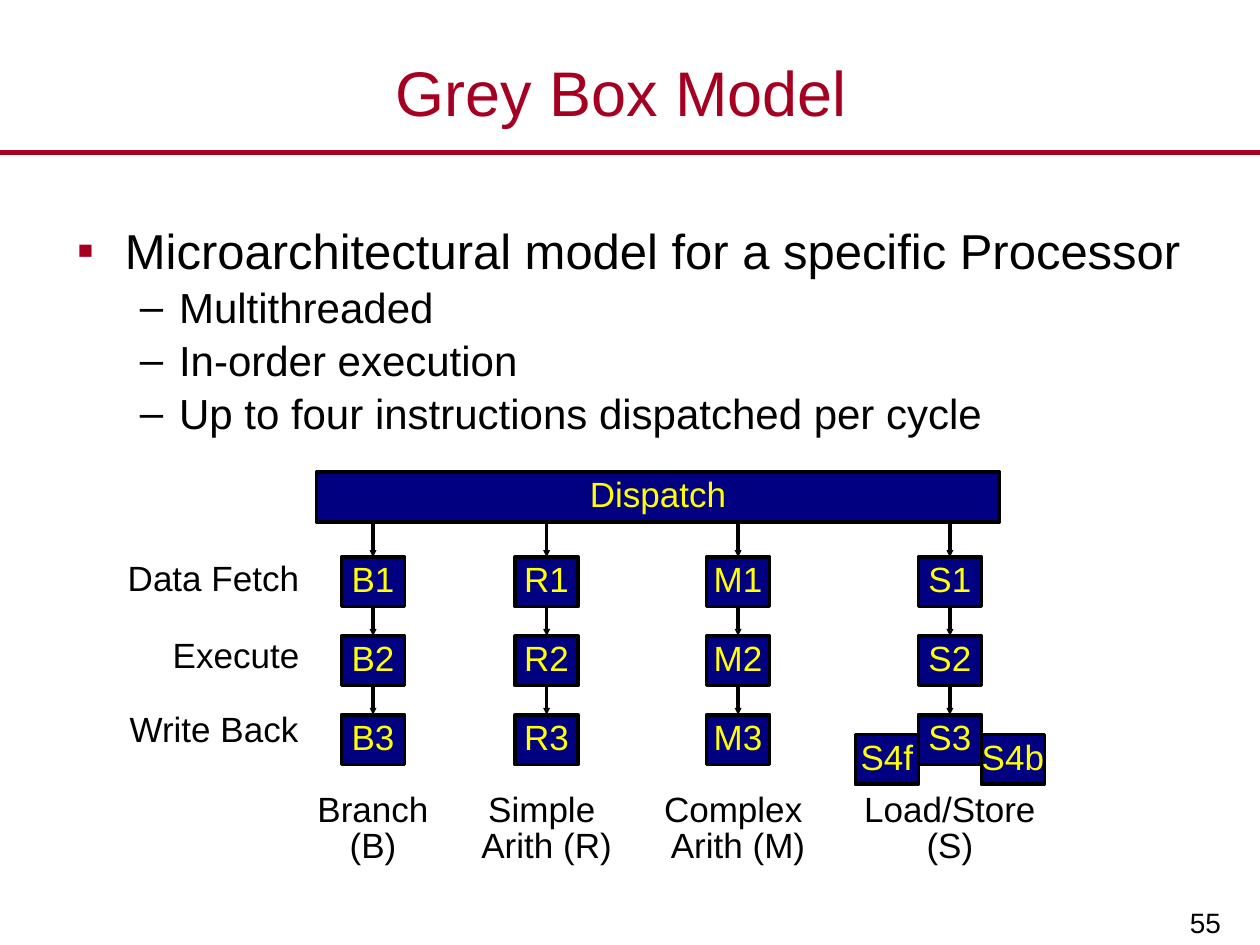
from lxml.etree import SubElement
from pptx import Presentation
from pptx.dml.color import RGBColor
from pptx.enum.shapes import MSO_CONNECTOR, MSO_SHAPE
from pptx.enum.text import MSO_ANCHOR, PP_ALIGN
from pptx.oxml.ns import qn
from pptx.util import Cm, Pt

CRIMSON = RGBColor(0xA5, 0x00, 0x21)
NAVY = RGBColor(0x00, 0x00, 0x80)
YELLOW = RGBColor(0xFF, 0xFF, 0x00)
BLACK = RGBColor(0x00, 0x00, 0x00)

BOX_W, BOX_H = 1.27, 1
ROW_TOP, ROW_STEP = 11.23, 1.59
DISPATCH_TOP = 9.52
LABEL_RIGHT = 6.31

PIPELINES = [
    ("B", 7.52, "Branch\v(B)", 2.77),
    ("R", 11.02, "Simple \vArith (R)", 3.18),
    ("M", 14.88, "Complex \vArith (M)", 3.53),
    ("S", 19.15, "Load/Store\v(S)", 4.01),
]
STAGES = [
    ("Data Fetch", 11.23, 4.01),
    ("Execute", 12.78, 3.1),
    ("Write Back", 14.27, 3.99),
]
FEATURES = ["Multithreaded", "In-order execution", "Up to four instructions dispatched per cycle"]


def write(p, text, size=20, color=BLACK, font="Arial", align=PP_ALIGN.CENTER, spacing=None, before=None):
    p.text = text
    p.alignment = align
    if spacing:
        p.line_spacing = spacing
    if before:
        p.space_before = Pt(before)
    for r in p.runs:
        r.font.name = font
        r.font.size = Pt(size)
        r.font.color.rgb = color


class Deck:
    line_width = Pt(2)
    tight = 0.85

    def __init__(self):
        self.prs = Presentation()
        self.prs.slide_width, self.prs.slide_height = Cm(25.4), Cm(19.05)
        self.s = self.prs.slides.add_slide(self.prs.slide_layouts[5])

    def title(self, text, x, y, w, h):
        sp = self.s.shapes.title
        sp.left, sp.top, sp.width, sp.height = Cm(x), Cm(y), Cm(w), Cm(h)
        sp.text_frame.vertical_anchor = MSO_ANCHOR.MIDDLE
        write(sp.text_frame.paragraphs[0], text, size=36, color=CRIMSON)

    def text_box(self, x, y, w, h, anchor=MSO_ANCHOR.TOP, wrap=True):
        tf = self.s.shapes.add_textbox(Cm(x), Cm(y), Cm(w), Cm(h)).text_frame
        tf.word_wrap = wrap
        tf.vertical_anchor = anchor
        return tf

    def label(self, text, x, y, w, h):
        tf = self.text_box(x, y, w, h, wrap=False)
        write(tf.paragraphs[0], text, spacing=self.tight)

    def bullet(self, p, char, indent, hang, color, text, **fmt):
        pPr = p._p.get_or_add_pPr()
        pPr.set("marL", str(Cm(indent)))
        pPr.set("indent", str(-Cm(hang)))
        clr = SubElement(pPr, qn("a:buClr"))
        SubElement(clr, qn("a:srgbClr"), val=str(color))
        SubElement(pPr, qn("a:buFont"), typeface="Arial")
        SubElement(pPr, qn("a:buChar"), char=char)
        write(p, text, align=PP_ALIGN.LEFT, **fmt)

    def box(self, text, x, y, w=BOX_W, h=BOX_H):
        sp = self.s.shapes.add_shape(MSO_SHAPE.FLOWCHART_PROCESS, Cm(x), Cm(y), Cm(w), Cm(h))
        sp.shadow.inherit = False
        sp.fill.solid()
        sp.fill.fore_color.rgb = NAVY
        sp.line.color.rgb = BLACK
        sp.line.width = self.line_width
        tf = sp.text_frame
        tf.word_wrap = False
        tf.vertical_anchor = MSO_ANCHOR.MIDDLE
        write(tf.paragraphs[0], text, color=YELLOW, spacing=self.tight)
        return sp

    def line(self, x1, y1, x2, y2, color=BLACK, width=None):
        c = self.s.shapes.add_connector(MSO_CONNECTOR.STRAIGHT, Cm(x1), Cm(y1), Cm(x2), Cm(y2))
        c.line.color.rgb = color
        c.line.width = width or self.line_width
        SubElement(c._element.spPr, qn("a:effectLst"))
        return c

    def arrow(self, x, y1, y2, target, source=None):
        c = self.line(x, y1, x, y2)
        SubElement(c.line._get_or_add_ln(), qn("a:tailEnd"), type="triangle", w="sm", len="sm")
        if source is not None:
            c.begin_connect(source, 2)
        c.end_connect(target, 0)

    def pipeline(self, letter, center, caption, caption_w):
        above, bottom = None, DISPATCH_TOP + BOX_H
        for i in range(3):
            top = ROW_TOP + i * ROW_STEP
            sp = self.box(f"{letter}{i + 1}", center - BOX_W / 2, top)
            self.arrow(center, bottom, top, sp, above)
            above, bottom = sp, top + BOX_H
        self.label(caption, center - caption_w / 2, 15.88, caption_w, 1.73)


def main():
    deck = Deck()
    deck.line(0, 3.07, 25.4, 3.07, color=CRIMSON, width=Pt(3))
    deck.title("Grey Box Model ", 0, 0.76, 25.4, 2.18)

    tf = deck.text_box(1.3, 4.32, 22.9, 4.8)
    deck.bullet(tf.paragraphs[0], "▪", 0.97, 0.97, CRIMSON,
                "Microarchitectural model for a specific Processor", size=28)
    for feature in FEATURES:
        deck.bullet(tf.add_paragraph(), "–", 2.06, 0.79, BLACK, feature, size=24, before=1.5)

    deck.box("Dispatch", 6.38, DISPATCH_TOP, w=13.77)
    for pipeline in PIPELINES:
        deck.pipeline(*pipeline)
    store_center = PIPELINES[-1][1]
    for name, side in (("S4f", -1), ("S4b", 1)):
        deck.box(name, store_center + side * BOX_W - BOX_W / 2, 14.81)
    for stage, top, w in STAGES:
        deck.label(stage, LABEL_RIGHT - w, top, w, BOX_H)

    number = deck.text_box(19.81, 17.6, 5.05, 1.45, anchor=MSO_ANCHOR.BOTTOM)
    write(number.paragraphs[0], "55", size=16, align=PP_ALIGN.RIGHT)
    deck.prs.save("out.pptx")


if __name__ == "__main__":
    main()
